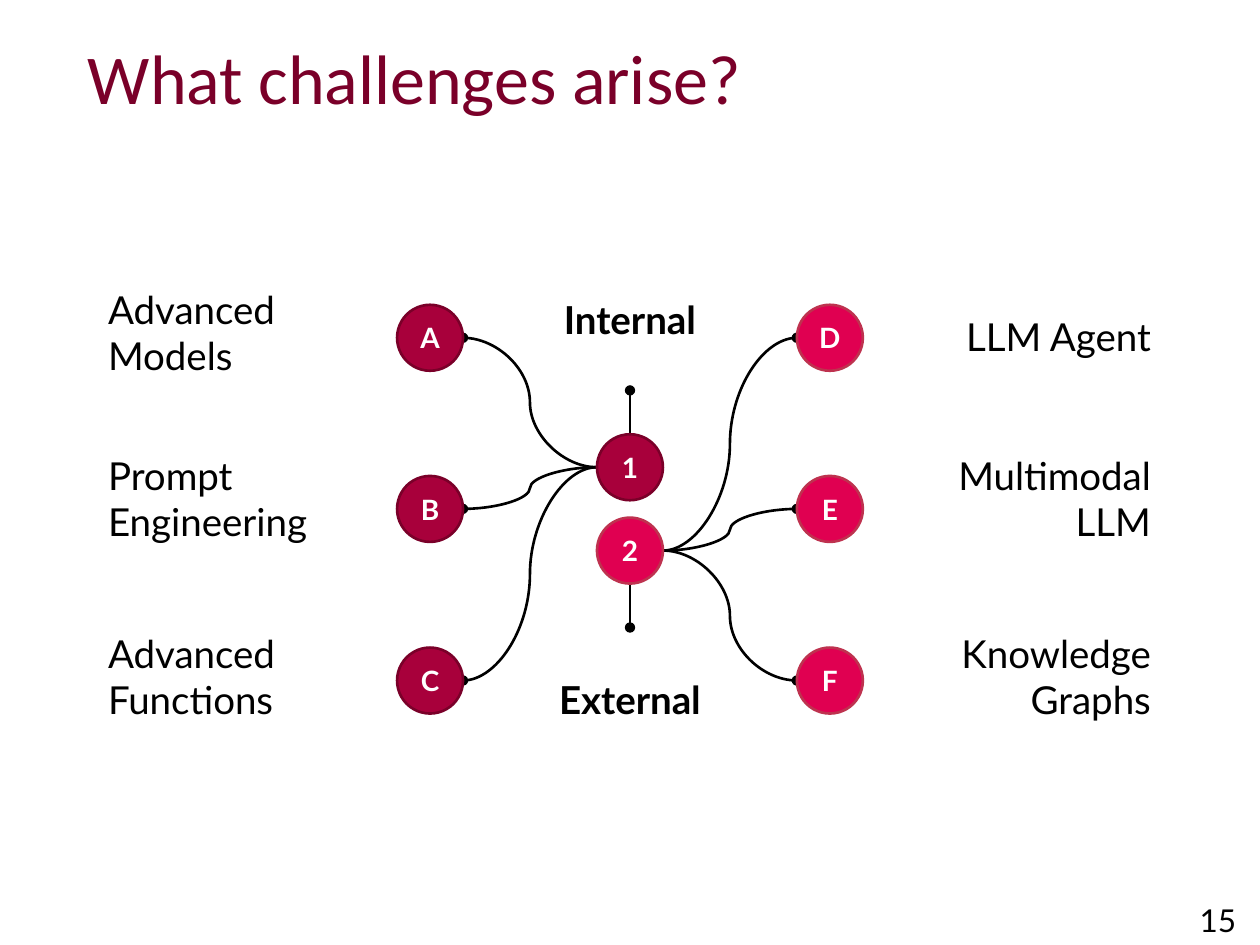
"""Build the slide on internal and external challenges as two linked hubs."""
import pptx
import pptx.util
import pptx.dml.color
import pptx.enum.shapes
import pptx.enum.text
import lxml.etree

Cm, Pt = pptx.util.Cm, pptx.util.Pt
RGB = pptx.dml.color.RGBColor.from_string
ALIGN = pptx.enum.text.PP_ALIGN
ANCHOR = pptx.enum.text.MSO_ANCHOR
CONNECTOR = pptx.enum.shapes.MSO_CONNECTOR
OVAL = pptx.enum.shapes.MSO_SHAPE.OVAL

COLORS = {
    "text": "000000", "white": "FFFFFF", "title": "7A0029",
    "internal": "A8003B", "internal_edge": "7A0029",
    "external": "E00051", "external_edge": "BE324F",
}
FORMATS = {
    "title": {"name": "Calibri", "size": Pt(40), "bold": False},
    "topic": {"name": "Lato", "size": Pt(22), "bold": False},
    "heading": {"name": "Lato", "size": Pt(22), "bold": True},
    "badge": {"name": "Lato", "size": Pt(16), "bold": True},
    "page": {"name": "Lato", "size": Pt(18), "bold": False},
}


def write(shape, text, style, color, align, anchor, inset=0.25):
    frame = shape.text_frame
    settings = {"word_wrap": True, "vertical_anchor": anchor}
    for side in ("left", "right", "top", "bottom"):
        settings[f"margin_{side}"] = Cm(inset)
    for key, value in settings.items():
        setattr(frame, key, value)
    frame.text = text
    paragraph = frame.paragraphs[0]
    paragraph.alignment = align
    for key, value in FORMATS[style].items():
        setattr(paragraph.font, key, value)
    paragraph.font.color.rgb = RGB(COLORS[color])


def link(kind, start, end):
    line = slide.shapes.add_connector(kind, *map(Cm, start + end))
    line.line.color.rgb = RGB(COLORS["text"])
    line.line.width = Pt(1.5)
    namespace = pptx.oxml.ns.nsdecls("a")
    outline = line.line._get_or_add_ln()
    outline.append(lxml.etree.fromstring(f'<a:headEnd {namespace} type="oval"/>'))
    line._element.spPr.append(lxml.etree.fromstring(f"<a:effectLst {namespace}/>"))


deck = pptx.Presentation()
deck.slide_width, deck.slide_height = Cm(25.4), Cm(19.05)
slide = deck.slides.add_slide(deck.slide_layouts[5])

title = slide.shapes.title
title.left, title.top, title.width, title.height = Cm(1.52), Cm(0.99), Cm(21.41), Cm(1.32)
write(title, "What challenges arise?", "title", "title", ALIGN.LEFT, ANCHOR.MIDDLE)
title.text_frame.paragraphs[0].line_spacing = 0.9

center_x, arm, diameter = 12.7, 4.03, 1.33
radius = diameter / 2
row_centers = [6.81, 10.26, 13.72]
label_width = 5.77

groups = [
    {"kind": "internal", "side": -1, "hub": ("1", 9.42), "label_left": 1.93,
     "align": ALIGN.LEFT, "stem_end": 7.87,
     "heading": ("Internal", 5.72, ANCHOR.TOP),
     "topics": [("A", "Advanced Models", 7.87), ("B", "Prompt Engineering", 11.23),
                ("C", "Advanced Functions", 14.81)]},
    {"kind": "external", "side": 1, "hub": ("2", 11.1), "label_left": 17.68,
     "align": ALIGN.RIGHT, "stem_end": 12.65,
     "heading": ("External", 12.65, ANCHOR.BOTTOM),
     "topics": [("D", "LLM Agent", 7.49), ("E", "Multimodal LLM", 11.23),
                ("F", "Knowledge Graphs", 14.81)]},
]

for group in groups:
    side = group["side"]
    hub_name, hub_y = group["hub"]
    topic_x = center_x + side * arm
    badges = [(hub_name, center_x, hub_y)]

    link(CONNECTOR.STRAIGHT, (center_x, group["stem_end"]),
         (center_x, hub_y + side * radius))
    for (letter, topic, label_bottom), row_y in zip(group["topics"], row_centers):
        link(CONNECTOR.CURVE, (topic_x - side * radius, row_y),
             (center_x + side * radius, hub_y))
        badges.append((letter, topic_x, row_y))
        label = slide.shapes.add_textbox(
            Cm(group["label_left"]), Cm(label_bottom - 2.08), Cm(label_width), Cm(2.08))
        write(label, topic, "topic", "text", group["align"], ANCHOR.BOTTOM)

    for name, x, y in badges:
        badge = slide.shapes.add_shape(
            OVAL, Cm(x - radius), Cm(y - radius), Cm(diameter), Cm(diameter))
        badge.shadow.inherit = False
        badge.fill.solid()
        badge.fill.fore_color.rgb = RGB(COLORS[group["kind"]])
        badge.line.color.rgb = RGB(COLORS[group["kind"] + "_edge"])
        badge.line.width = Pt(1.5)
        write(badge, name, "badge", "white", ALIGN.CENTER, ANCHOR.MIDDLE)

    name, top, anchor = group["heading"]
    heading = slide.shapes.add_textbox(
        Cm(center_x - label_width / 2), Cm(top), Cm(label_width), Cm(2.16))
    write(heading, name, "heading", "text", ALIGN.CENTER, anchor)

page = slide.shapes.add_textbox(Cm(23.9), Cm(18.03), Cm(1.3), Cm(1.02))
write(page, "15", "page", "text", ALIGN.CENTER, ANCHOR.TOP, inset=0.13)

deck.save("out.pptx")
